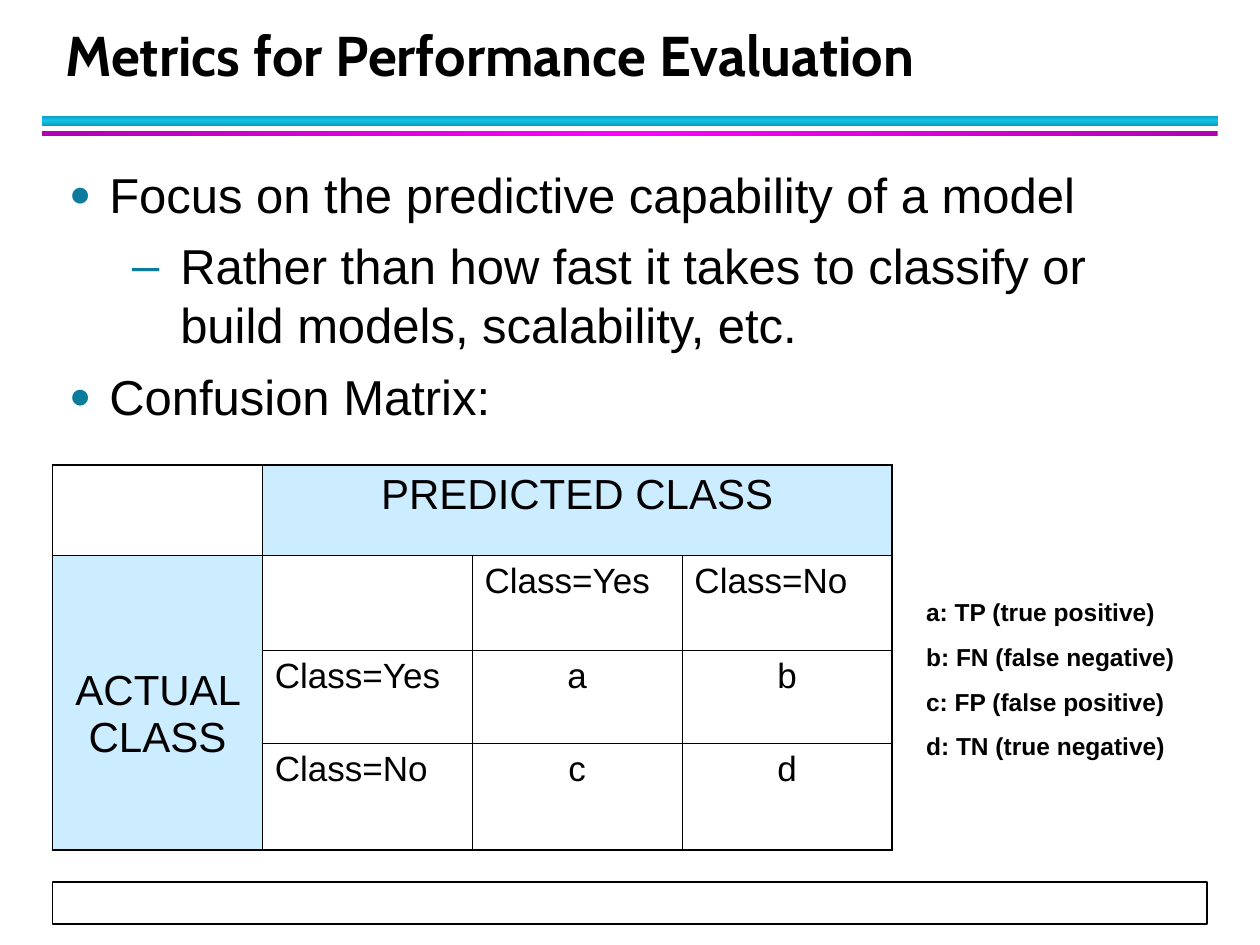
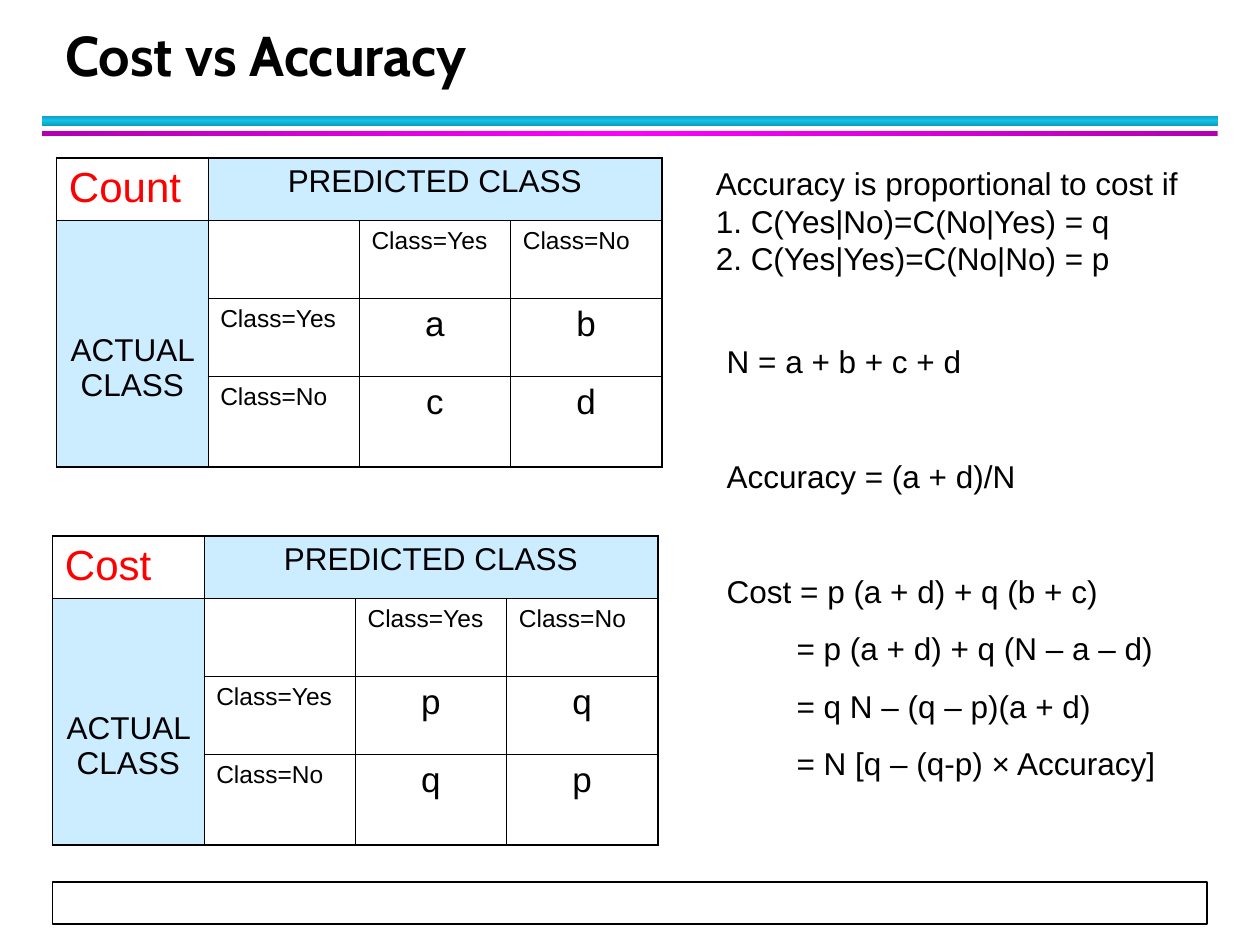
import copy
import dataclasses

import pptx
import pptx.dml.color
import pptx.enum.shapes
import pptx.enum.text
import pptx.oxml
import pptx.oxml.ns
import pptx.util

Cm = pptx.util.Cm
Pt = pptx.util.Pt
qn = pptx.oxml.ns.qn
ALIGN = pptx.enum.text.PP_ALIGN


@dataclasses.dataclass(frozen=True)
class Theme:
    # Fonts
    title_font: str = "Cabin"
    body_font: str = "Arial"
    # Colours
    text: str = "000000"
    paper: str = "FFFFFF"
    accent: str = "FF0000"
    header: str = "CCECFF"
    bullet: str = "0C7B9C"
    blue_band: tuple = ("0E9BBA", "12C2E9", "0E9BBA")
    magenta_band: tuple = ("B200B2", "FF00FF", "B200B2")
    # Type sizes and line widths in points
    title_size: int = 32
    body_size: int = 28
    formula_size: int = 18
    legend_size: int = 14
    outer_line: float = 1.08
    inner_line: float = 0.45


@dataclasses.dataclass(frozen=True)
class MatrixStyle:
    """Measures in centimetres, type sizes in points."""
    column_width: float
    row_heights: tuple
    header_size: int
    label_size: int
    value_size: int = 20
    corner_size: int = 24
    actual_margin: float = 2.26


THEME = Theme()
LARGE_MATRIX = MatrixStyle(4.23, (1.83, 1.91, 1.87, 2.16), 24, 20)
SMALL_MATRIX = MatrixStyle(3.05, (1.27, 1.57, 1.57, 1.83), 18, 14)


def rgb(value):
    return pptx.dml.color.RGBColor.from_string(value)


def style_font(paragraph, size, color=THEME.text, bold=False, name=THEME.body_font):
    font = paragraph.font
    font.name, font.size, font.bold = name, Pt(size), bold
    font.color.rgb = rgb(color)


def place(shape, left, top, width, height):
    shape.left, shape.top = Cm(left), Cm(top)
    shape.width, shape.height = Cm(width), Cm(height)


def set_indent(paragraph, left, first=0):
    properties = paragraph._p.get_or_add_pPr()
    properties.set("marL", str(Cm(left)))
    properties.set("indent", str(Cm(first)))


# Shared frame of every slide

def add_rectangle(slide, left, top, width, height):
    shape = slide.shapes.add_shape(
        pptx.enum.shapes.MSO_SHAPE.RECTANGLE,
        Cm(left), Cm(top), Cm(width), Cm(height))
    shape.shadow.inherit = False
    return shape


def add_band(slide, top, height, colors, angle):
    band = add_rectangle(slide, 0.85, top, 23.7, height)
    band.line.fill.background()
    band.fill.gradient()
    band.fill.gradient_angle = angle
    stop_list = band._element.spPr.find(".//" + qn("a:gsLst"))
    stop_list.insert(1, copy.deepcopy(stop_list[0]))
    for stop, color, position in zip(band.fill.gradient_stops, colors, (0, 0.5, 1)):
        stop.color.rgb = rgb(color)
        stop.position = position


def add_footer_box(slide):
    box = add_rectangle(slide, 1.06, 17.78, 23.28, 0.85)
    box.fill.solid()
    box.fill.fore_color.rgb = rgb(THEME.paper)
    box.line.color.rgb = rgb(THEME.text)
    box.line.width = Pt(1)


def set_title(slide, text):
    title = slide.shapes.title
    place(title, 1.06, 0.42, 23.02, 1.48)
    frame = title.text_frame
    frame.text = text
    frame.auto_size = pptx.enum.text.MSO_AUTO_SIZE.NONE
    frame.vertical_anchor = pptx.enum.text.MSO_ANCHOR.BOTTOM
    paragraph = frame.paragraphs[0]
    paragraph.alignment = ALIGN.LEFT
    paragraph.line_spacing = Pt(36)
    style_font(paragraph, THEME.title_size, bold=True, name=THEME.title_font)


def add_slide(presentation, layout_name, title):
    slide = presentation.slides.add_slide(
        presentation.slide_layouts.get_by_name(layout_name))
    add_band(slide, 2.33, 0.21, THEME.blue_band, 90)
    add_band(slide, 2.64, 0.11, THEME.magenta_band, 0)
    add_footer_box(slide)
    set_title(slide, title)
    return slide


# Text

def set_bullet(paragraph, character, size_percent):
    properties = paragraph._p.get_or_add_pPr()
    namespace = pptx.oxml.ns.nsdecls("a")
    for xml in (
        f'<a:buClr {namespace}><a:srgbClr val="{THEME.bullet}"/></a:buClr>',
        f'<a:buSzPct {namespace} val="{size_percent * 1000}"/>',
        f'<a:buFont {namespace} typeface="{THEME.body_font}"/>',
        f'<a:buChar {namespace} char="{character}"/>',
    ):
        properties.append(pptx.oxml.parse_xml(xml))


def fill_bullet_list(body, items):
    """Each item is a level and its text."""
    levels = (("●", 75, 0.81, -0.81), ("–", 100, 2.24, -0.97))
    place(body, 1.14, 3.18, 23.11, 14.4)
    frame = body.text_frame
    frame.text = "\n".join(text for _, text in items)
    frame.auto_size = pptx.enum.text.MSO_AUTO_SIZE.NONE
    for paragraph, (level, _) in zip(frame.paragraphs, items):
        character, size_percent, left, first = levels[level]
        paragraph.level = level
        paragraph.space_before, paragraph.space_after = Pt(3.5), Pt(4)
        set_indent(paragraph, left, first)
        set_bullet(paragraph, character, size_percent)
        style_font(paragraph, THEME.body_size)


def add_text_lines(slide, left, top, width, height, lines, size, space=0, bold=False):
    box = slide.shapes.add_textbox(Cm(left), Cm(top), Cm(width), Cm(height))
    frame = box.text_frame
    frame.word_wrap = True
    frame.text = "\n".join(lines)
    for paragraph in frame.paragraphs:
        paragraph.space_before = Pt(space)
        style_font(paragraph, size, bold=bold)
    return frame.paragraphs


# Confusion matrix

def set_borders(cell, row, column, last):
    bottom = row + (cell.span_height if cell.is_merge_origin else 1) - 1
    right = column + (cell.span_width if cell.is_merge_origin else 1) - 1
    edges = {"L": column == 0, "R": right == last, "T": row == 0, "B": bottom == last}
    properties = cell._tc.get_or_add_tcPr()
    for side, is_outer in edges.items():
        width = Pt(THEME.outer_line if is_outer else THEME.inner_line)
        properties.append(pptx.oxml.parse_xml(
            f'<a:ln{side} {pptx.oxml.ns.nsdecls("a")} w="{width}"><a:solidFill>'
            f'<a:srgbClr val="{THEME.text}"/></a:solidFill></a:ln{side}>'))


def write_cell(cell, text, size, color=THEME.text, alignment=ALIGN.LEFT):
    cell.text = text
    paragraph = cell.text_frame.paragraphs[0]
    paragraph.alignment = alignment
    style_font(paragraph, size, color)


def add_confusion_matrix(slide, left, top, style, values, corner=""):
    """Values are the two rows of the matrix, written as strings."""
    count = len(style.row_heights)
    table = slide.shapes.add_table(
        count, count, Cm(left), Cm(top),
        Cm(style.column_width * count), Cm(sum(style.row_heights))).table
    table.first_row = table.horz_banding = False
    for column in table.columns:
        column.width = Cm(style.column_width)
    for row, height in zip(table.rows, style.row_heights):
        row.height = Cm(height)
    predicted, actual = table.cell(0, 1), table.cell(1, 0)
    predicted.merge(table.cell(0, count - 1))
    actual.merge(table.cell(count - 1, 0))

    # Borders and fills
    for row in range(count):
        for column in range(count):
            cell = table.cell(row, column)
            set_borders(cell, row, column, count - 1)
            is_header = (row == 0) != (column == 0)
            cell.fill.solid()
            cell.fill.fore_color.rgb = rgb(THEME.header if is_header else THEME.paper)
            cell.margin_left = cell.margin_right = Cm(0.25)
            cell.margin_top = cell.margin_bottom = Cm(0.13)

    # Headings, class labels and values
    if corner:
        write_cell(table.cell(0, 0), corner, style.corner_size, THEME.accent)
    write_cell(predicted, "PREDICTED CLASS", style.header_size, alignment=ALIGN.CENTER)
    write_cell(actual, "ACTUAL CLASS", style.header_size, alignment=ALIGN.CENTER)
    actual.margin_top = Cm(style.actual_margin)
    for index, label in enumerate(("Class=Yes", "Class=No"), start=2):
        write_cell(table.cell(1, index), label, style.label_size)
        write_cell(table.cell(index, 1), label, style.label_size)
    for row, row_values in enumerate(values, start=2):
        for column, value in enumerate(row_values, start=2):
            write_cell(table.cell(row, column), value, style.value_size,
                       alignment=ALIGN.CENTER)


# Slides

def build_metrics_slide(presentation):
    slide = add_slide(presentation, "Title and Content",
                      "Metrics for Performance Evaluation")
    fill_bullet_list(slide.placeholders[1], (
        (0, "Focus on the predictive capability of a model"),
        (1, "Rather than how fast it takes to classify or build models, "
            "scalability, etc."),
        (0, "Confusion Matrix:"),
    ))
    add_confusion_matrix(slide, 1.06, 9.37, LARGE_MATRIX, ("ab", "cd"))
    add_text_lines(slide, 18.42, 11.91, 6.14, 3.55, (
        "a: TP (true positive)",
        "b: FN (false negative)",
        "c: FP (false positive)",
        "d: TN (true negative)",
    ), THEME.legend_size, space=8.8, bold=True)


def build_cost_slide(presentation):
    slide = add_slide(presentation, "Title Only", "Cost vs Accuracy")
    add_confusion_matrix(slide, 1.14, 3.18, SMALL_MATRIX, ("ab", "cd"), "Count")
    add_confusion_matrix(slide, 1.06, 10.8, SMALL_MATRIX, ("pq", "qp"), "Cost")
    formulas = add_text_lines(slide, 14.4, 6.78, 9.95, 10.29, (
        "N = a + b + c + d",
        "Accuracy = (a + d)/N",
        "Cost = p (a + d) + q (b + c)",
        "= p (a + d) + q (N – a – d)",
        "= q N – (q – p)(a + d)",
        "= N [q – (q-p) × Accuracy]",
    ), THEME.formula_size, space=11.2)
    for paragraph in formulas[1:3]:
        paragraph.space_before = Pt(44)
    for paragraph in formulas[3:]:
        set_indent(paragraph, 1.41)
    add_text_lines(slide, 14.18, 3.18, 10.37, 2.54, (
        "Accuracy is proportional to cost if",
        "1. C(Yes|No)=C(No|Yes) = q",
        "2. C(Yes|Yes)=C(No|No) = p",
    ), THEME.formula_size)


def main():
    presentation = pptx.Presentation()
    presentation.slide_width, presentation.slide_height = Cm(25.4), Cm(19.05)
    build_metrics_slide(presentation)
    build_cost_slide(presentation)
    presentation.save("out.pptx")


if __name__ == "__main__":
    main()
